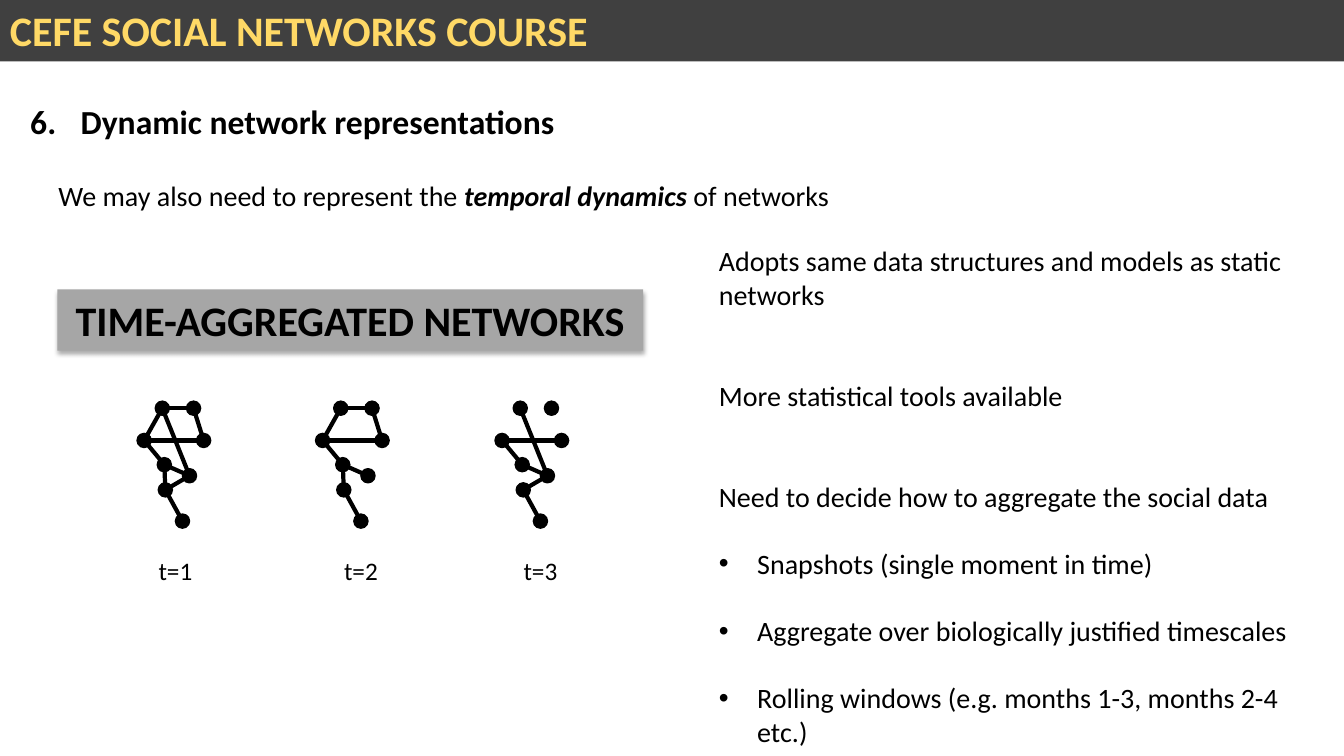
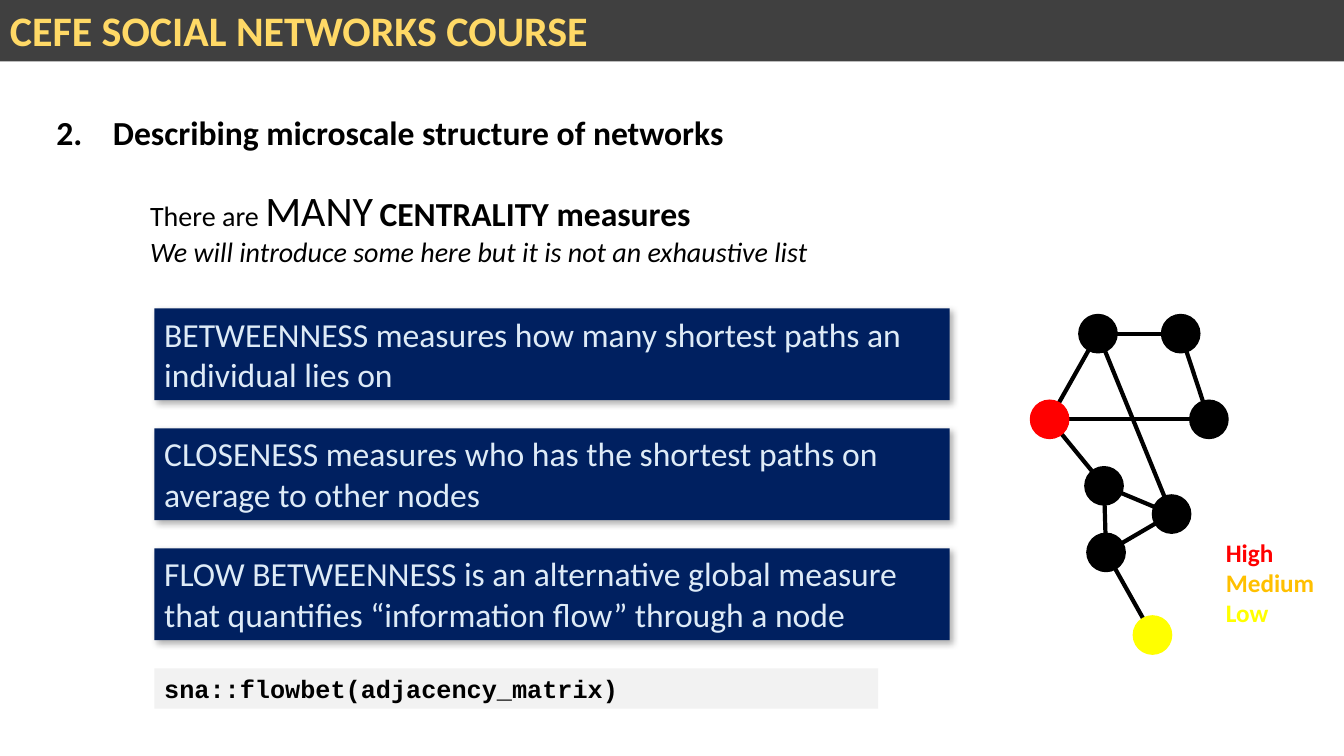
from pptx import Presentation
from pptx.dml.color import RGBColor
from pptx.enum.shapes import MSO_CONNECTOR, MSO_SHAPE
from pptx.enum.text import MSO_ANCHOR, MSO_AUTO_SIZE, PP_ALIGN
from pptx.oxml import parse_xml
from pptx.oxml.ns import nsdecls, qn
from pptx.oxml.xmlchemy import OxmlElement
from pptx.util import Pt

PX = 9144  # 100 px to the inch
COLOURS = {
    "black": "000000", "band": "404040", "gold": "FFD966", "grey": "A6A6A6",
    "navy": "002060", "ice": "DEEBF7", "code": "F2F2F2",
    "high": "FF0000", "medium": "FFC000", "low": "FFFF00",
}
RGB = {name: RGBColor.from_string(value) for name, value in COLOURS.items()}

# Node centres in px, measured from the leftmost and topmost nodes
NODES = {"A": (48, 0), "B": (130, 0), "C": (0, 85), "D": (158, 85),
         "E": (54, 151), "F": (121, 179), "G": (56, 217), "H": (102, 299)}
ALL_TIES = "CD CA AB BD CE EG EF GF GH AF".split()


def put_text(slide, box, paragraphs, size, colour="black", bold=False, font="Calibri",
             align=PP_ALIGN.LEFT, fill=None, shadow=None, placeholder=None):
    """Write paragraphs (tuples of run texts) into a placeholder, filled box or text box.

    shadow is (opacity %, blur pt, distance pt, angle in degrees).
    """
    area = [v * PX for v in box]
    if placeholder is not None:
        shape = placeholder
        shape.left, shape.top, shape.width, shape.height = area
    elif fill:
        shape = slide.shapes.add_shape(MSO_SHAPE.RECTANGLE, *area)
        shape.fill.solid()
        shape.fill.fore_color.rgb = RGB[fill]
        shape.line.fill.background()
        shape.shadow.inherit = False
    else:
        shape = slide.shapes.add_textbox(*area)
    if shadow:
        opacity, blur, distance, angle = shadow
        shape._element.spPr.find(qn("a:effectLst")).append(parse_xml(
            f'<a:outerShdw {nsdecls("a")} blurRad="{Pt(blur)}" dist="{Pt(distance)}" '
            f'dir="{angle * 60000}" algn="tl" rotWithShape="0"><a:srgbClr val="{COLOURS["black"]}">'
            f'<a:alpha val="{opacity * 1000}"/></a:srgbClr></a:outerShdw>'))
    frame = shape.text_frame
    frame.word_wrap = True
    frame.auto_size = MSO_AUTO_SIZE.NONE
    frame.vertical_anchor = MSO_ANCHOR.TOP
    for number, texts in enumerate(paragraphs):
        paragraph = frame.add_paragraph() if number else frame.paragraphs[0]
        paragraph.alignment = align
        paragraph.space_before = Pt(0)
        for text in texts:
            run = paragraph.add_run()
            run.text = text
            run.font.size, run.font.name, run.font.bold = Pt(size), font, bold
            run.font.color.rgb = RGB[colour]
    return frame


def draw_network(slide, left, top, scale, diameter, ties, highlights):
    """Draw the ties, then the nodes, as one group."""
    network = slide.shapes.add_group_shape().shapes
    centres = {name: (left + round(x * scale), top + round(y * scale))
               for name, (x, y) in NODES.items()}
    for start, end in ties:
        tie = network.add_connector(
            MSO_CONNECTOR.STRAIGHT, *[v * PX for v in centres[start] + centres[end]])
        tie.line.color.rgb = RGB["black"]
        tie.line.width = Pt(3)
        tie._element.spPr.append(OxmlElement("a:effectLst"))
    for name, (x, y) in centres.items():
        corner = diameter // 2
        node = network.add_shape(MSO_SHAPE.OVAL, (x - corner) * PX, (y - corner) * PX,
                                 diameter * PX, diameter * PX)
        colour = RGB[highlights.get(name, "black")]
        node.fill.solid()
        node.fill.fore_color.rgb = colour
        node.line.color.rgb = colour
        node.line.width = Pt(1)
        node.shadow.inherit = False


prs = Presentation()
prs.slide_width, prs.slide_height = 1333 * PX, 750 * PX

# Shared band and numbered heading: layout, number, heading, box, indent
headings = [
    (1, 6, "Dynamic network representations", (20, 95, 1278, 60), 50),
    (5, 2, "Describing microscale structure of networks", (46, 106, 779, 50), 56),
]
slides = []
for layout, number, heading, box, indent in headings:
    slide = prs.slides.add_slide(prs.slide_layouts[layout])
    put_text(slide, (0, 0, 1333, 61), [("CEFE SOCIAL NETWORKS COURSE",)], 30, "gold", True,
             fill="band")
    title = put_text(slide, box, [(heading,)], 24, bold=True, placeholder=slide.shapes.title)
    properties = title.paragraphs[0]._p.get_or_add_pPr()
    properties.set("marL", str(indent * PX))
    properties.set("indent", str(-indent * PX))
    properties.append(parse_xml(
        f'<a:buAutoNum {nsdecls("a")} type="arabicPeriod" startAt="{number}"/>'))
    slides.append(slide)
dynamic, microscale = slides

# Dynamic network representations
intro = put_text(dynamic, (48, 172, 1252, 44), [
    ("We may also need to represent the ", "temporal dynamics ", "of networks")], 20)
emphasis = intro.paragraphs[0].runs[1].font
emphasis.bold = emphasis.italic = True

statements = ["Adopts same data structures and models as static networks",
              "More statistical tools available",
              "Need to decide how to aggregate the social data"]
options = ["Snapshots (single moment in time)",
           "Aggregate over biologically justified timescales",
           "Rolling windows (e.g. months 1-3, months 2-4 etc.)"]
notes = put_text(dynamic, (703, 237, 630, 513), [(text,) for text in statements + options], 20,
                 placeholder=dynamic.placeholders[1])
for position, paragraph in enumerate(notes.paragraphs):
    is_option = position >= len(statements)
    indent = 38 if is_option else 0
    properties = paragraph._p.get_or_add_pPr()
    properties.set("marL", str(indent * PX))
    properties.set("indent", str(-indent * PX))
    if is_option:
        properties.append(parse_xml(f'<a:buFont {nsdecls("a")} typeface="Arial"/>'))
        properties.append(parse_xml(f'<a:buChar {nsdecls("a")} char="•"/>'))
    else:
        properties.append(OxmlElement("a:buNone"))
    if position:
        paragraph.space_before = Pt(24 if is_option else 48)

put_text(dynamic, (57, 287, 581, 61), [("TIME-AGGREGATED NETWORKS",)], 30, bold=True,
         align=PP_ALIGN.CENTER, fill="grey", shadow=(32, 3.5, 2.2, 90))

snapshots = [
    ("t=1", 143, 132, ALL_TIES),
    ("t=2", 320, 316, [tie for tie in ALL_TIES if tie not in ("GF", "AF")]),
    ("t=3", 498, 494, "CD CE EF GF GH AF".split()),
]
for time, network_left, label_left, ties in snapshots:
    draw_network(dynamic, network_left, 405, 0.374, 14, ties, {})
    put_text(dynamic, (label_left, 546, 84, 40), [(time,)], 18, align=PP_ALIGN.CENTER)

# Describing microscale structure of networks
overview = put_text(microscale, (139, 178, 1078, 128), [
    ("There are ", "MANY", " ", "CENTRALITY measures"),
    ("We will introduce some here but it is not an exhaustive list",)], 20)
first, second = overview.paragraphs
first.runs[1].font.size = Pt(30)
first.runs[3].font.size = Pt(24)
first.runs[3].font.bold = True
second.runs[0].font.italic = True

measures = [
    "BETWEENNESS measures how many shortest paths an individual lies on",
    "CLOSENESS measures who has the shortest paths on average to other nodes",
    "FLOW BETWEENNESS is an alternative global measure that quantifies "
    "“information flow” through a node",
]
for row, measure in enumerate(measures):
    put_text(microscale, (153, 306 + 119 * row, 789, 91), [(measure,)], 24, "ice",
             fill="navy", shadow=(30, 4.5, 2.6, 53))
put_text(microscale, (153, 663, 718, 40), [("sna::flowbet(adjacency_matrix)",)], 18,
         bold=True, font="Courier New", fill="code")

draw_network(microscale, 1041, 331, 1, 38, ALL_TIES, {"C": "high", "H": "low"})
levels = ["high", "medium", "low"]
legend = put_text(microscale, (1206, 528, 117, 101), [(level.title(),) for level in levels], 18,
                  bold=True)
for level, paragraph in zip(levels, legend.paragraphs):
    paragraph.runs[0].font.color.rgb = RGB[level]

prs.save("out.pptx")
